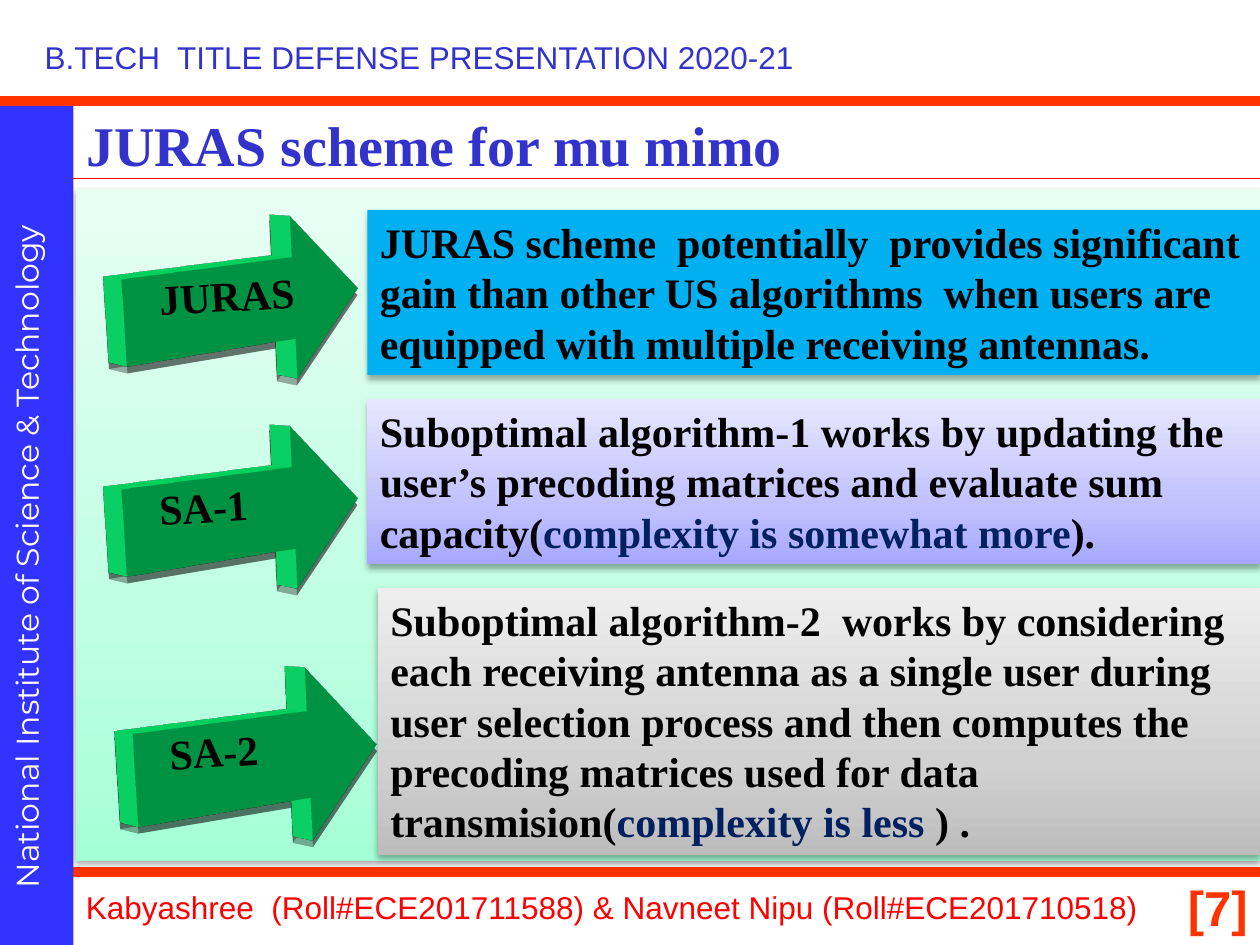
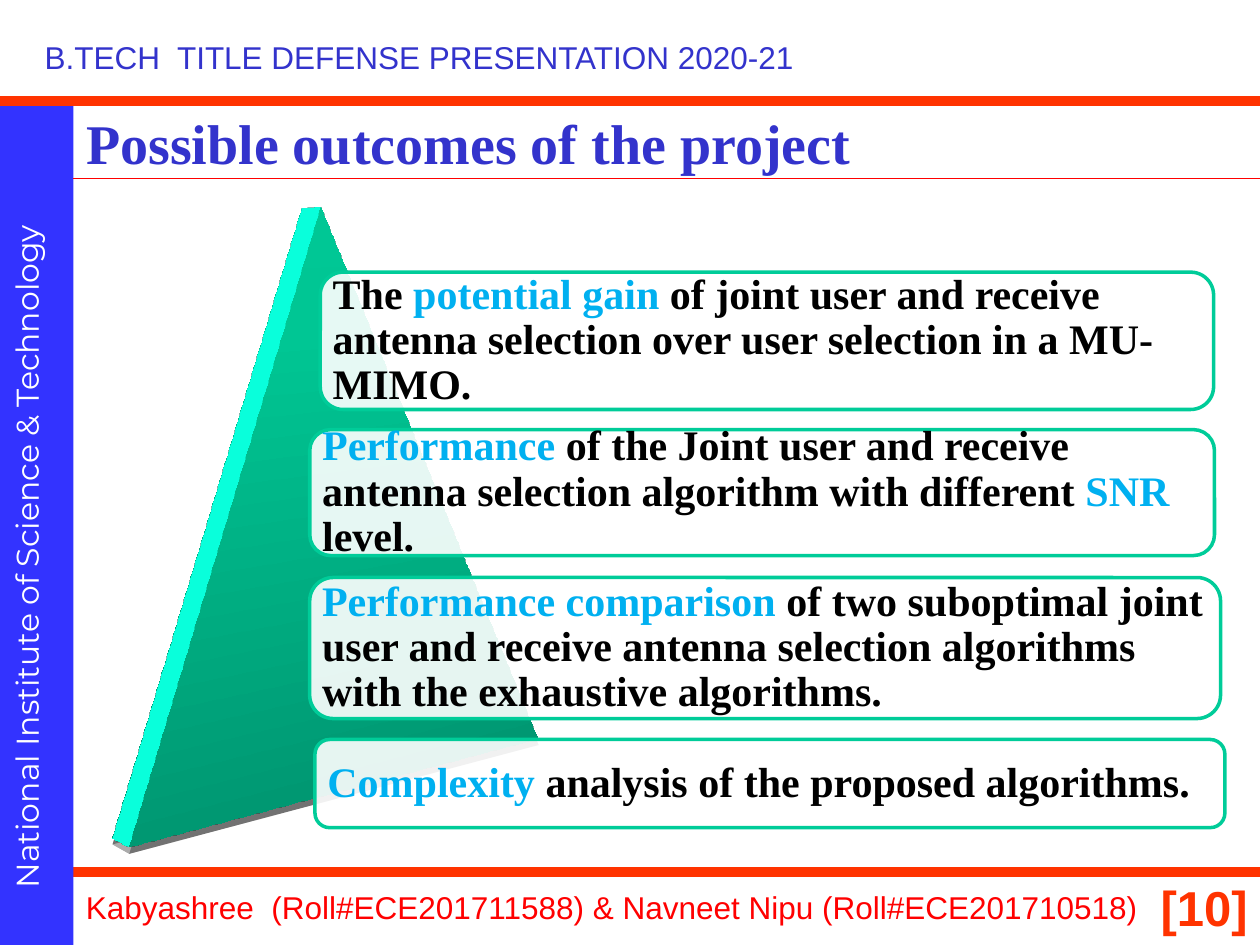
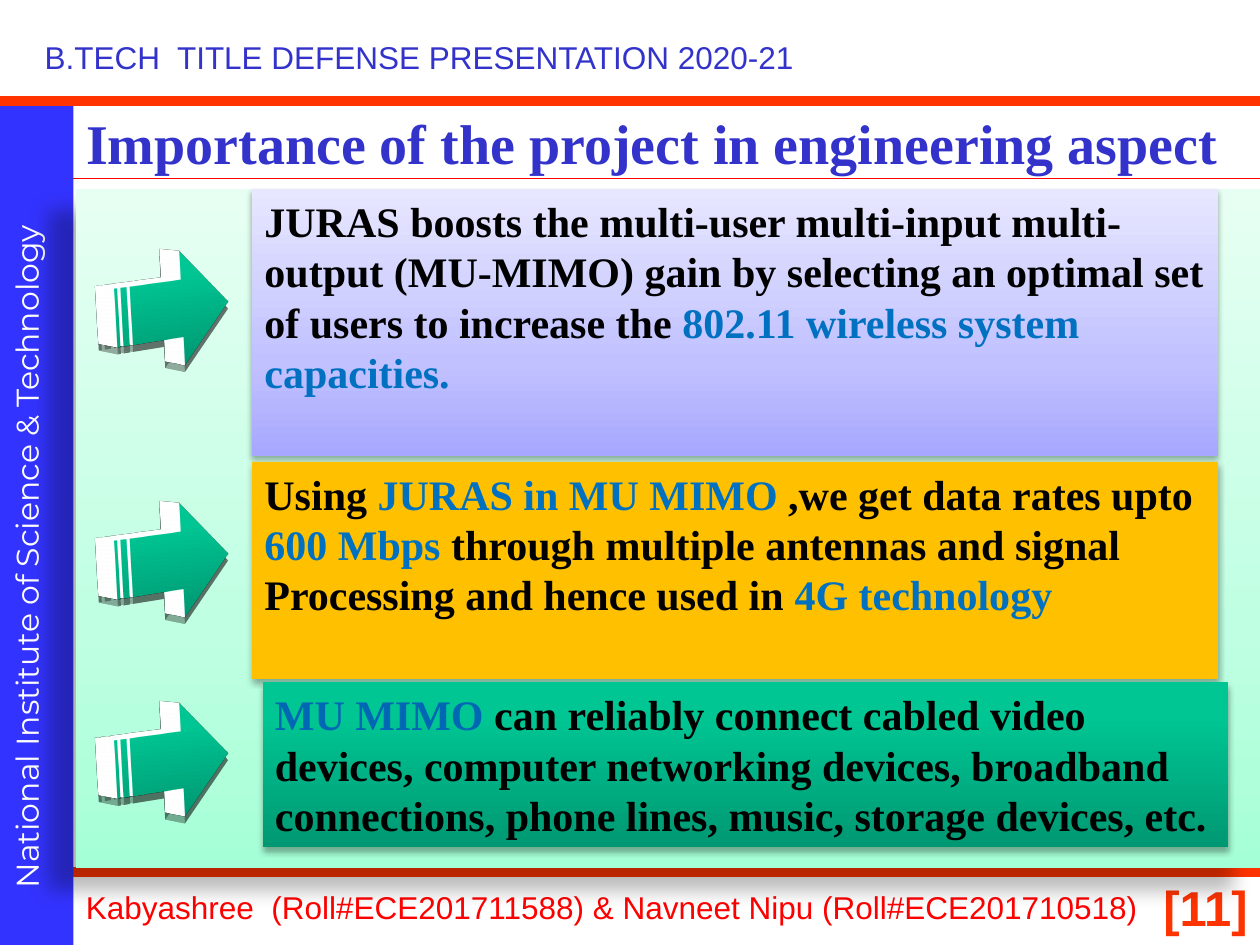
import pptx
import pptx.util
import pptx.dml.color
import pptx.enum.shapes
import pptx.enum.text
import pptx.oxml
import pptx.oxml.ns
from lxml import etree

Pt = pptx.util.Pt
qn = pptx.oxml.ns.qn
SHAPE = pptx.enum.shapes.MSO_SHAPE
ANCHOR = pptx.enum.text.MSO_ANCHOR
ALIGN = pptx.enum.text.PP_ALIGN
STRAIGHT = pptx.enum.shapes.MSO_CONNECTOR.STRAIGHT

# Shared colours, gradients (bottom to top) and shadows (alpha %, blur, distance, angle)
BLACK, WHITE, ORANGE, RED = "000000", "FFFFFF", "FF3300", "FF0000"
BLUE, BAND_BLUE, NAVY, SKY, LINK = "3333CC", "3333FF", "002060", "00B0F0", "0070C0"
MINT = [(0, "A5FFD6"), (35, "BFFFE2"), (100, "E7FFF3")]
LILAC = [(0, "A7A7FF"), (35, "C1C1FF"), (100, "E7E7FF")]
GREY = [(0, "BDBDBD"), (35, "D1D1D1"), (100, "EEEEEE")]
TEAL = [(0, "009872"), (80, "00C694"), (100, "00C795")]
SOFT = (32, 3.5, 2.2, 90)
DEEP = (33, 17.8, 4, 87)
WIDE = (28, 11.8, 19.7, 141)
SERIF, SANS = "Times New Roman", "Arial"

NAMESPACE = 'xmlns:a="http://schemas.openxmlformats.org/drawingml/2006/main"'
SCENE = f"""<a:scene3d {NAMESPACE}>
<a:camera prst="perspectiveFront" fov="3300000"><a:rot lat="486000" lon="19530000" rev="174000"/></a:camera>
<a:lightRig rig="harsh" dir="t"><a:rot lat="0" lon="0" rev="3000000"/></a:lightRig></a:scene3d>"""
SOLID = f"""<a:sp3d {NAMESPACE} extrusionH="254000" contourW="19050">
<a:bevelT w="82550" h="44450" prst="angle"/><a:bevelB w="82550" h="44450" prst="angle"/>%s
<a:contourClr><a:srgbClr val="FFFFFF"/></a:contourClr></a:sp3d>"""
WHITE_SIDES = '<a:extrusionClr><a:srgbClr val="FFFFFF"/></a:extrusionClr>'


def rgb(value):
    return pptx.dml.color.RGBColor.from_string(value)


def add_block(slide, kind, box, fill, shadow=None, paragraphs=(), sides=None):
    """Add a shape; paragraphs are lists of (text, colour); sides makes it solid."""
    shape = slide.shapes.add_shape(kind, *[Pt(value) for value in box])
    shape.line.fill.background()
    shape.shadow.inherit = False
    properties = shape.element.spPr
    if isinstance(fill, str):
        shape.fill.solid()
        shape.fill.fore_color.rgb = rgb(fill)
    else:
        shape.fill.gradient()
        shape.fill.gradient_angle = 90
        stops = properties.find(".//" + qn("a:gsLst"))
        for stop in list(stops):
            stops.remove(stop)
        for position, colour in fill:
            stop = etree.SubElement(stops, qn("a:gs"), pos=str(position * 1000))
            etree.SubElement(stop, qn("a:srgbClr"), val=colour)
    if shadow:
        alpha, blur, distance, angle = shadow
        outer = etree.SubElement(
            properties.find(qn("a:effectLst")), qn("a:outerShdw"),
            blurRad=str(Pt(blur)), dist=str(Pt(distance)),
            dir=str(angle * 60000), algn="ctr", rotWithShape="0")
        colour = etree.SubElement(outer, qn("a:srgbClr"), val=BLACK)
        etree.SubElement(colour, qn("a:alpha"), val=str(alpha * 1000))
    if sides is not None:
        properties.append(pptx.oxml.parse_xml(SCENE))
        properties.append(pptx.oxml.parse_xml(SOLID % sides))
    frame = shape.text_frame
    frame.word_wrap = True
    frame.vertical_anchor = ANCHOR.TOP
    for index, runs in enumerate(paragraphs):
        paragraph = frame.add_paragraph() if index else frame.paragraphs[0]
        paragraph.alignment = ALIGN.LEFT
        for text, colour in runs:
            run = paragraph.add_run()
            run.text = text
            run.font.size = Pt(24)
            run.font.bold = True
            run.font.name = SERIF
            run.font.color.rgb = rgb(colour)
    return shape


presentation = pptx.Presentation()
presentation.slide_width = Pt(720)
presentation.slide_height = Pt(540)
title_only = presentation.slide_layouts[5]

# Slides with title and page number
slides = []
for title, top, width, number in [
    ("JURAS scheme for mu mimo", 59.8, 624, 7),
    ("Possible outcomes of the project", 58.3, 624, 10),
    ("Importance of the project in engineering aspect", 58.3, 678, 11),
]:
    slide = presentation.slides.add_slide(title_only)
    slides.append(slide)
    heading = slide.shapes.title
    heading.left, heading.top, heading.width, heading.height = Pt(42), Pt(top), Pt(width), Pt(45.4)
    number_box = slide.shapes.add_textbox(Pt(642), Pt(498), Pt(78), Pt(42))
    for shape, text, size, font, colour, alignment in [
        (heading, title, 32, SERIF, BLUE, ALIGN.LEFT),
        (number_box, f"[{number}]", 28, SANS, ORANGE, ALIGN.RIGHT),
    ]:
        frame = shape.text_frame
        frame.text = text
        frame.word_wrap = True
        paragraph = frame.paragraphs[0]
        paragraph.alignment = alignment
        paragraph.font.size = Pt(size)
        run = paragraph.runs[0]
        run.font.size = Pt(size)
        run.font.name = font
        run.font.bold = True
        run.font.color.rgb = rgb(colour)
    heading.text_frame.vertical_anchor = ANCHOR.MIDDLE
scheme, outcomes, importance = slides

# Shared frame: rules, side band, header and footer, moved to the master
frame_shapes = []
for left, top, colour, weight in [
    (0, 498.2, ORANGE, 6), (0, 57.6, ORANGE, 6), (42, 102.2, RED, 0.75),
]:
    rule = scheme.shapes.add_connector(STRAIGHT, Pt(left), Pt(top), Pt(720), Pt(top))
    rule.line.color.rgb = rgb(colour)
    rule.line.width = Pt(weight)
    etree.SubElement(rule.element.spPr, qn("a:effectLst"))
    frame_shapes.append(rule)
side_band = add_block(scheme, SHAPE.RECTANGLE, (0, 57.6, 42, 482.4), BAND_BLUE)
frame_shapes.insert(1, side_band)

for text, box, font, colour, rotation, wrap in [
    ("National Institute of Science & Technology",
     (-206.5, 278.5, 443.5, 29), "Montserrat", WHITE, 270, True),
    ("B.TECH  TITLE DEFENSE PRESENTATION 2020-21",
     (18.5, 18, 446.5, 29.1), SANS, BLUE, 0, False),
    ("Kabyashree  (Roll#ECE201711588) & Navneet Nipu (Roll#ECE201710518)",
     (42, 504, 630, 29.1), SANS, RED, 0, True),
]:
    label = scheme.shapes.add_textbox(*[Pt(value) for value in box])
    label.rotation = rotation
    label.text_frame.text = text
    label.text_frame.word_wrap = wrap
    run = label.text_frame.paragraphs[0].runs[0]
    run.font.size = Pt(18)
    run.font.name = font
    run.font.color.rgb = rgb(colour)
    frame_shapes.append(label)

for index, shape in enumerate(frame_shapes):
    shape.element.xpath(".//p:cNvPr")[0].set("id", str(100 + index))
    presentation.slide_master.shapes.element.append(shape.element)

# Scheme: three labelled arrows, each beside its explanation
add_block(scheme, SHAPE.RECTANGLE, (43.2, 108, 676.8, 384), MINT, SOFT)
for name, arrow_box, text_box, fill, runs in [
    ("SA-1", (60, 246, 162, 96), (210, 228, 510, 94.3), LILAC, [
        ("Suboptimal algorithm-1 works by updating the user’s precoding matrices "
         "and evaluate sum capacity(", BLACK),
        ("complexity is somewhat more", NAVY), (").", BLACK)]),
    ("SA-2", (66, 384, 168, 102), (216, 336, 504, 152.6), GREY, [
        ("Suboptimal algorithm-2  works by considering each receiving antenna as a "
         "single user during user selection process and then computes the precoding "
         "matrices used for data transmision(", BLACK),
        ("complexity is less ", NAVY), (") .", BLACK)]),
    ("JURAS", (60, 126, 162, 96), (210, 120, 510, 94.3), SKY, [
        ("JURAS scheme  potentially  provides significant gain than other US "
         "algorithms  when users are equipped with multiple receiving antennas.", BLACK)]),
]:
    arrow = add_block(scheme, SHAPE.RIGHT_ARROW, arrow_box, "00B050", DEEP,
                      [[(name, BLACK)]], sides="")
    arrow.text_frame.margin_left = Pt(31.2)
    add_block(scheme, SHAPE.RECTANGLE, text_box, fill, SOFT, [runs])

# Outcomes: a solid triangle with four rounded cards over it
add_block(outcomes, SHAPE.ISOSCELES_TRIANGLE, (48, 120, 290, 335.5), TEAL, DEEP, sides="")
for box, runs in [
    ((183, 155.5, 510.5, 78.5), [
        ("The ", BLACK), ("potential gain ", SKY),
        ("of joint user and receive antenna selection over user selection "
         "in a MU-MIMO.", BLACK)]),
    ((177, 245.5, 517, 72), [
        ("Performance", SKY),
        (" of the Joint user and receive antenna selection algorithm with different ", BLACK),
        ("SNR", SKY), (" level.", BLACK)]),
    ((177, 330, 520.5, 80.6), [
        ("Performance comparison ", SKY),
        ("of two suboptimal joint user and receive antenna selection algorithms "
         "with the exhaustive algorithms.", BLACK)]),
    ((180, 422.6, 520, 50.4), [
        ("Complexity", SKY), (" analysis of the proposed algorithms.", BLACK)]),
]:
    card = add_block(outcomes, SHAPE.ROUNDED_RECTANGLE, box, WHITE, None, [runs])
    white = card.element.spPr.find(qn("a:solidFill") + "/" + qn("a:srgbClr"))
    etree.SubElement(white, qn("a:alpha"), val="90000")
    card.line.color.rgb = rgb("00CC99")
    card.line.width = Pt(2)
    frame = card.text_frame
    frame.vertical_anchor = ANCHOR.MIDDLE
    frame.paragraphs[0].line_spacing = 0.9
    # Rounded corners push the text inwards, so the margin gives that back
    margin = Pt(7.2 - 0.05 * box[3])
    frame.margin_left = frame.margin_right = margin
    frame.margin_top = frame.margin_bottom = margin

# Importance: three text panels, then a striped arrow for each
add_block(importance, SHAPE.RECTANGLE, (43.2, 108, 676.8, 388), MINT, WIDE)
for box, fill, paragraphs in [
    ((144, 108, 552, 152.6), LILAC, [[
        ("JURAS boosts the multi-user multi-input multi-output (MU-MIMO) gain by "
         "selecting an optimal set of users to increase the ", BLACK),
        ("802.11 wireless system capacities.", LINK)]]),
    ((144, 264, 552, 124), "FFC000", [
        [("Using ", BLACK), ("JURAS in MU MIMO ", LINK), (",we get data rates upto ", BLACK),
         ("600 Mbps ", LINK), ("through multiple antennas and signal", BLACK)],
        [("Processing and hence used in ", BLACK), ("4G technology", LINK)]]),
    ((150, 390, 552, 94.3), TEAL, [[
        ("MU MIMO ", "0067B4"),
        ("can reliably connect cabled video devices, computer networking devices, "
         "broadband connections, phone lines, music, storage devices, etc.", BLACK)]]),
]:
    add_block(importance, SHAPE.RECTANGLE, box, fill, SOFT, paragraphs)
for top in (144, 288, 402):
    add_block(importance, SHAPE.STRIPED_RIGHT_ARROW, (60, top, 78, 66), TEAL, DEEP,
              sides=WHITE_SIDES)

presentation.save("out.pptx")
